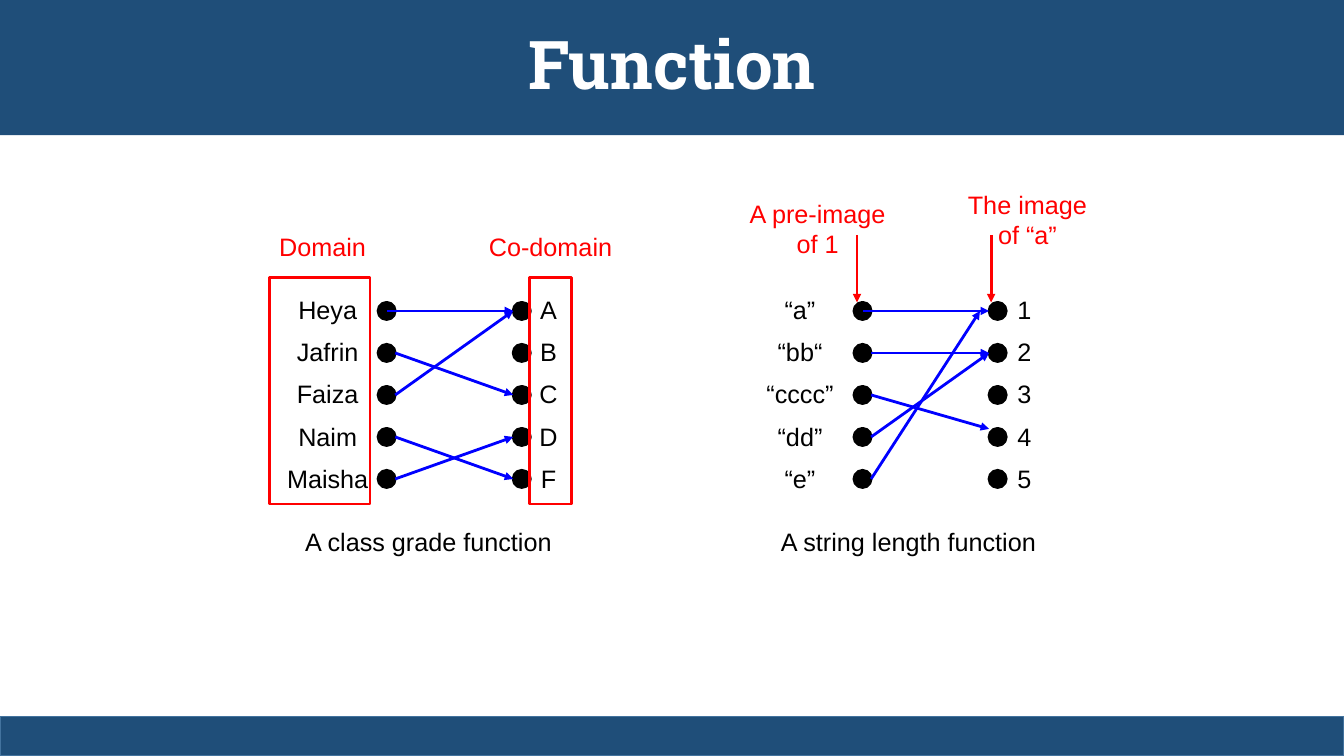
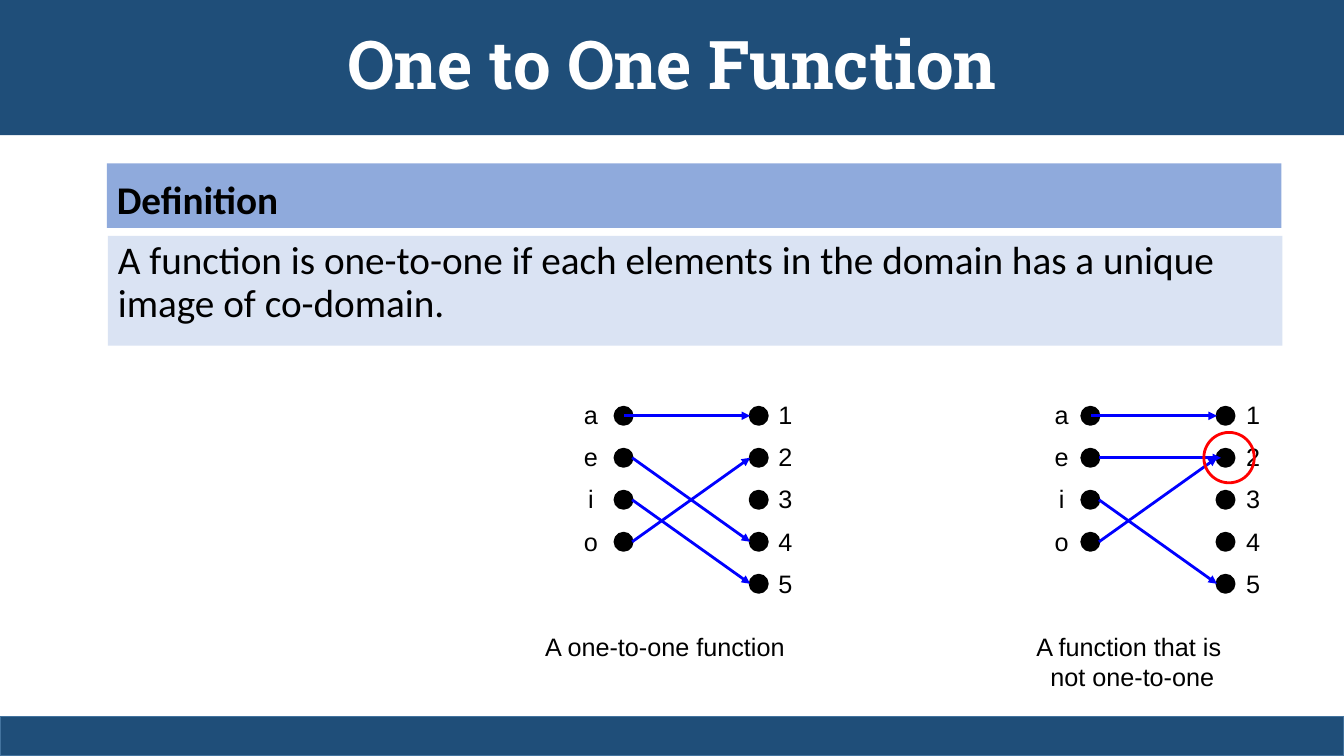
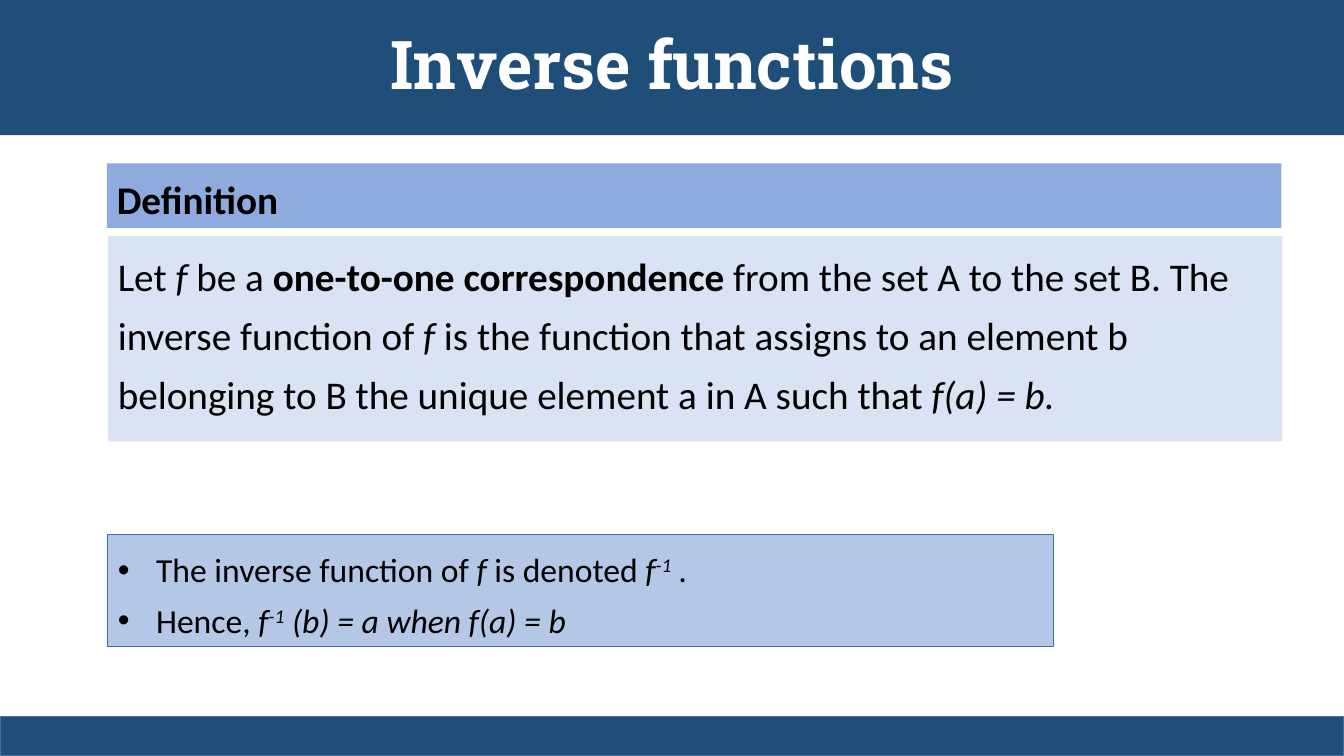
from dataclasses import dataclass

from lxml import etree
from pptx import Presentation
from pptx import util as u
from pptx.dml.color import RGBColor
from pptx.enum import shapes, text
from pptx.oxml.ns import qn

# Shared colours, fonts and sizes
NAVY = RGBColor(0x1F, 0x4E, 0x79)
NAVY_EDGE = RGBColor(0x43, 0x73, 0x9E)
HEADING_BLUE = RGBColor(0x8F, 0xAA, 0xDC)
BODY_BLUE = RGBColor(0xDA, 0xE3, 0xF3)
NOTE_BLUE = RGBColor(0xB4, 0xC7, 0xE7)
NOTE_EDGE = RGBColor(0x2E, 0x75, 0xB6)
BLACK = RGBColor(0, 0, 0)
WHITE = RGBColor(255, 255, 255)
RED = RGBColor(255, 0, 0)
BLUE = RGBColor(0, 0, 255)

SLIDE_WIDTH, SLIDE_HEIGHT = 13.33, 7.5
TITLE_ONLY = 5
DOT = 0.17
DOT_GAP = 1.34
ROW_PITCH = 1.25 / 3
CAPTION_DROP = 2.17

TITLE_FONT = {"name": "Roboto Slab", "size": u.Pt(48), "bold": True}
BODY_FONT = {"name": "Calibri", "size": u.Pt(28)}
NOTE_FONT = {"name": "Calibri", "size": u.Pt(24)}
LABEL_FONT = {"name": "Arial", "size": u.Pt(18)}
BOLD = {"bold": True}
ITALIC = {"italic": True}
POWER = {"italic": True, "baseline": "30000"}


@dataclass
class Mapping:
    """Two columns of dots joined by arrows, with labels and a caption."""
    left: float
    top: float
    sources: list
    targets: list
    source_box: tuple  # left and width of the source labels
    target_box: tuple
    caption: list
    caption_box: tuple
    arrows: list  # source row, target row, then shifts of the ends


def inches(*lengths):
    return [u.Inches(length) for length in lengths]


def paint(shape, fill=None, line=None, width=2):
    shape.shadow.inherit = False
    if fill is None:
        shape.fill.background()
    else:
        shape.fill.solid()
        shape.fill.fore_color.rgb = fill
    if line is None:
        shape.line.fill.background()
    else:
        shape.line.color.rgb = line
        shape.line.width = u.Pt(width)


def add_panel(canvas, place, kind=shapes.MSO_SHAPE.RECTANGLE, **colours):
    shape = canvas.add_shape(kind, *inches(*place))
    paint(shape, **colours)
    return shape


def add_bullet(para):
    properties = para._p.get_or_add_pPr()
    properties.set("marL", str(u.Inches(0.38)))
    properties.set("indent", str(u.Inches(-0.38)))
    etree.SubElement(properties, qn("a:buFont")).set("typeface", "Arial")
    etree.SubElement(properties, qn("a:buChar")).set("char", "•")


def write(shape, paragraphs, font, colour=BLACK, align=text.PP_ALIGN.LEFT,
          anchor=text.MSO_ANCHOR.TOP, spacing=None, wrap=True, bullets=False):
    """Each paragraph is a string or a list of (string, format) pairs."""
    frame = shape.text_frame
    frame.word_wrap = wrap
    frame.auto_size = text.MSO_AUTO_SIZE.NONE
    frame.vertical_anchor = anchor
    for index, content in enumerate(paragraphs):
        para = frame.add_paragraph() if index else frame.paragraphs[0]
        if bullets:
            add_bullet(para)
        para.alignment = align
        para.space_before = u.Pt(0)
        if spacing:
            para.line_spacing = spacing
        pieces = [(content, {})] if isinstance(content, str) else content
        for words, changes in pieces:
            span = para.add_run()
            span.text = words
            span.font.color.rgb = colour
            for name, value in {**font, **changes}.items():
                if name == "baseline":
                    span._r.get_or_add_rPr().set(name, value)
                else:
                    setattr(span.font, name, value)


def add_label(canvas, place, lines, colour=BLACK, spacing=None):
    box = canvas.add_textbox(*inches(*place))
    write(box, lines, LABEL_FONT, colour, text.PP_ALIGN.CENTER,
          spacing=spacing, wrap=False)


def add_arrow(canvas, start, end, colour):
    arrow = canvas.add_connector(shapes.MSO_CONNECTOR.STRAIGHT,
                                 *inches(*start, *end))
    arrow.line.color.rgb = colour
    arrow.line.width = u.Pt(2)
    line = arrow.line._get_or_add_ln()
    etree.SubElement(line, qn("a:tailEnd")).set("type", "triangle")
    etree.SubElement(arrow._element.spPr, qn("a:effectLst"))


def add_mapping(page, mapping):
    canvas = page.shapes.add_group_shape().shapes
    right = mapping.left + DOT_GAP

    # Dots and their labels
    columns = ((mapping.left, mapping.sources, mapping.source_box),
               (right, mapping.targets, mapping.target_box))
    for dots_left, labels, (label_left, label_width) in columns:
        for row in range(len(labels)):
            add_panel(canvas, (dots_left, mapping.top + row * ROW_PITCH, DOT, DOT),
                      shapes.MSO_SHAPE.OVAL, fill=BLACK, line=BLACK)
        add_label(canvas, (label_left, mapping.top - 0.25, label_width, 2.2),
                  labels, spacing=1.4)

    # Arrows run from the right edge of one dot to the left edge of another
    middle = mapping.top + DOT / 2
    for source, target, start_shift, end_shift, drop in mapping.arrows:
        start = mapping.left + DOT + start_shift, middle + source * ROW_PITCH
        end = right + end_shift, middle + target * ROW_PITCH + drop
        add_arrow(canvas, start, end, BLUE)

    caption_left, caption_width = mapping.caption_box
    add_label(canvas, (caption_left, mapping.top + CAPTION_DROP, caption_width,
                       0.1 + 0.3 * len(mapping.caption)), mapping.caption)


def add_page(deck, title):
    page = deck.slides.add_slide(deck.slide_layouts[TITLE_ONLY])
    band = page.shapes.title
    band.left, band.top, band.width, band.height = inches(0, 0, SLIDE_WIDTH, 1.34)
    band.fill.solid()
    band.fill.fore_color.rgb = NAVY
    write(band, [title], TITLE_FONT, WHITE, text.PP_ALIGN.CENTER,
          text.MSO_ANCHOR.MIDDLE, spacing=0.9)
    add_panel(page.shapes, (0, 7.11, SLIDE_WIDTH, 0.39),
              fill=NAVY, line=NAVY_EDGE, width=1)
    return page


def add_definition(page, content, height, spacing):
    heading = add_panel(page.shapes, (1.06, 1.62, 11.65, 0.64), fill=HEADING_BLUE)
    write(heading, ["Definition"], {**BODY_FONT, **BOLD}, spacing=1.14)
    body = add_panel(page.shapes, (1.07, 2.34, 11.65, height), fill=BODY_BLUE)
    write(body, [content], BODY_FONT, spacing=spacing)


def build_function(deck):
    page = add_page(deck, "Function")
    add_mapping(page, Mapping(
        8.47, 3, ["“a”", "“bb“", "“cccc”", "“dd”", "“e”"], list("12345"),
        (7.5, 0.87), (9.99, 0.34), ["A string length function"], (7.64, 2.74),
        [(0, 0, -0.08, 0, 0), (1, 1, 0, 0, 0), (3, 1, 0, 0, 0),
         (2, 3, 0, 0, -0.08), (4, 0, 0, -0.09, 0)]))
    add_mapping(page, Mapping(
        3.75, 3, ["Heya", "Jafrin", "Faiza", "Naim", "Maisha"], list("ABCDF"),
        (2.74, 1.02), (5.25, 0.38), ["A class grade function"], (2.92, 2.66),
        [(0, 0, -0.08, 0, 0), (1, 2, 0, 0, 0), (3, 4, 0, 0, 0),
         (2, 0, 0, 0, 0), (4, 3, 0, 0, 0)]))

    # Red frames, pointers and terms
    for left, width in ((2.67, 1), (5.25, 0.42)):
        add_panel(page.shapes, (left, 2.75, width, 2.25), line=RED)
    for x in (8.5, 9.83):
        add_arrow(page.shapes, (x, 2.33), (x, 3), RED)
    for place, lines in (
            ((2.67, 2.25, 1.06, 0.4), ["Domain"]),
            ((4.75, 2.25, 1.42, 0.4), ["Co-domain"]),
            ((7.33, 1.92, 1.56, 0.7), ["A pre-image", "of 1"]),
            ((9.5, 1.83, 1.38, 0.7), ["The image", "of “a”"])):
        add_label(page.shapes, place, lines, RED)


def build_one_to_one(deck):
    page = add_page(deck, "One to One Function")
    add_definition(page, "A function is one-to-one if each elements in the domain "
                   "has a unique image of co-domain.", 1.09, 0.9)
    add_mapping(page, Mapping(
        6.1, 4.04, list("aeio"), list("12345"), (5.69, 0.34), (7.62, 0.34),
        ["A one-to-one function"], (5.3, 2.59),
        [(0, 0, -0.08, 0, 0), (1, 3, 0, 0, 0), (3, 1, 0, 0, 0),
         (2, 4, 0, 0, 0)]))
    add_mapping(page, Mapping(
        10.73, 4.04, list("aeio"), list("12345"), (10.36, 0.34), (12.26, 0.34),
        ["A function that is ", "not one-to-one"], (10.17, 2.12),
        [(0, 0, -0.08, 0, 0), (1, 1, 0, 0.04, 0), (3, 1, 0, 0, 0),
         (2, 4, 0, 0, 0)]))
    add_panel(page.shapes, (11.94, 4.29, 0.5, 0.5), shapes.MSO_SHAPE.OVAL, line=RED)


def build_inverse(deck):
    page = add_page(deck, "Inverse functions")
    add_definition(page, [
        ("Let ", {}), ("f ", ITALIC), ("be a ", {}),
        ("one-to-one correspondence", BOLD),
        (" from the set A to the set B. The inverse function of ", {}),
        ("f ", ITALIC),
        ("is the function that assigns to an element b belonging to B "
         "the unique element a in A such that ", {}),
        ("f(a) = b.", ITALIC)], 2.04, 1.25)
    notes = add_panel(page.shapes, (1.07, 5.3, 9.38, 1.11),
                      fill=NOTE_BLUE, line=NOTE_EDGE, width=0.75)
    write(notes, [
        [("The inverse function of ", {}), ("f ", ITALIC), ("is denoted ", {}),
         ("f", ITALIC), ("-1", POWER), (" .", ITALIC)],
        [("Hence, ", {}), ("f", ITALIC), ("-1", POWER),
         (" (b) = a when f(a) = b", ITALIC)]],
        NOTE_FONT, spacing=1.25, bullets=True)


def main():
    deck = Presentation()
    deck.slide_width, deck.slide_height = inches(SLIDE_WIDTH, SLIDE_HEIGHT)
    build_function(deck)
    build_one_to_one(deck)
    build_inverse(deck)
    deck.save("out.pptx")


if __name__ == "__main__":
    main()
